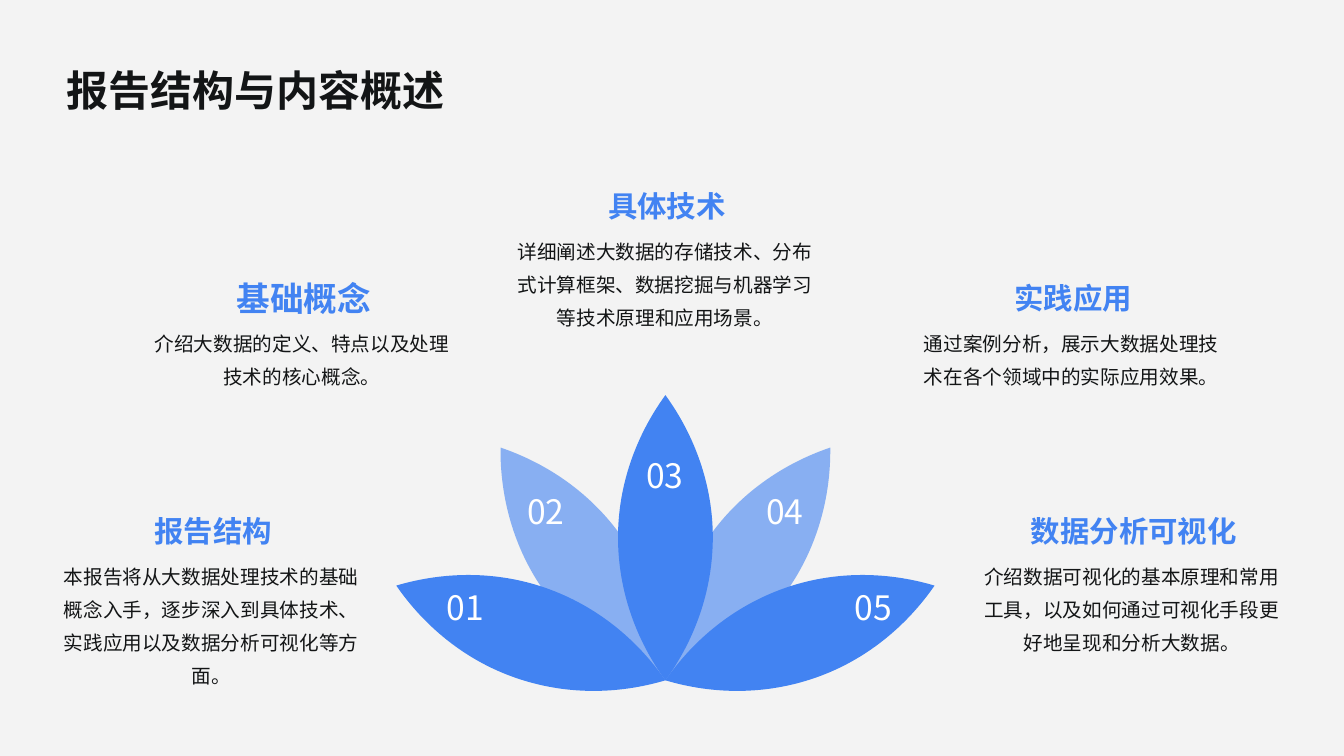
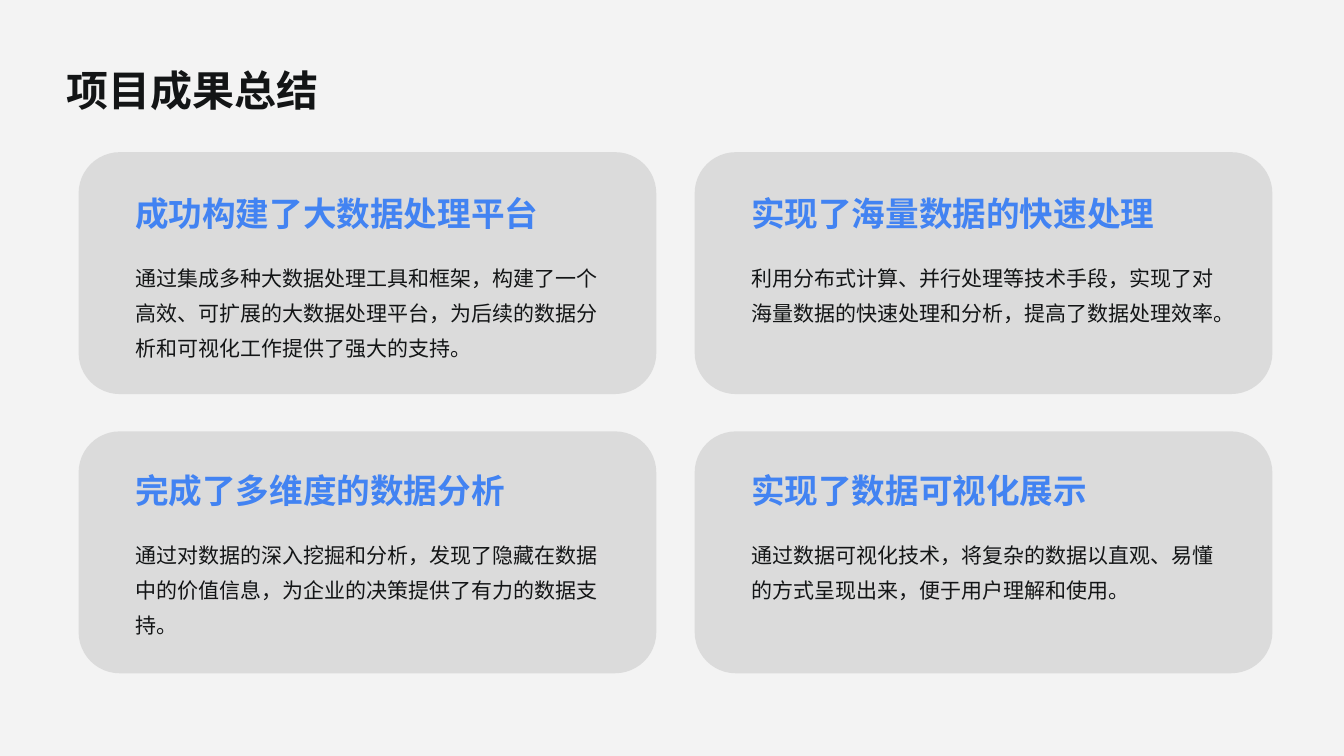
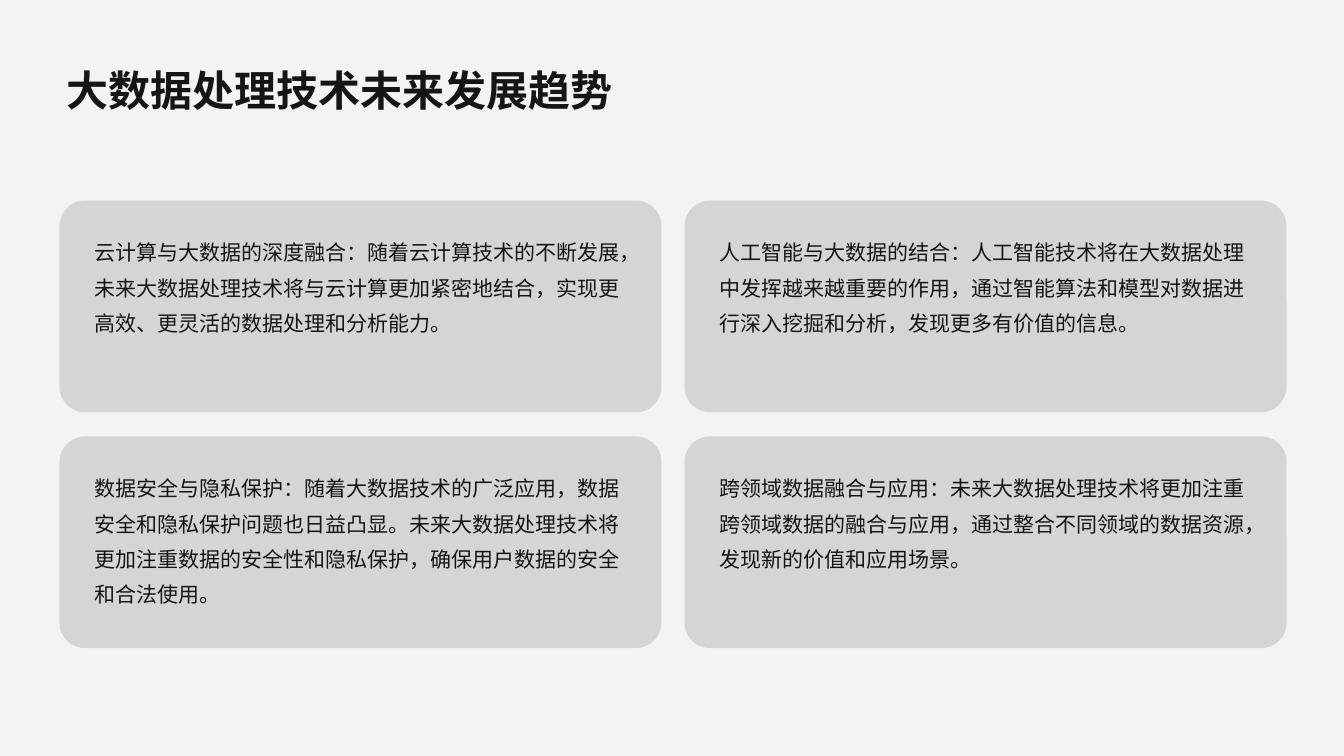
from itertools import product
from math import cos, radians, sin

from lxml.etree import SubElement
from pptx import Presentation
from pptx.dml.color import RGBColor
from pptx.enum.lang import MSO_LANGUAGE_ID as Language
from pptx.enum.shapes import MSO_SHAPE as Preset
from pptx.enum.text import MSO_ANCHOR as Anchor
from pptx.enum.text import MSO_AUTO_SIZE as AutoSize
from pptx.enum.text import PP_ALIGN as Align
from pptx.oxml.ns import qn
from pptx.util import Inches, Pt

FONT = "Noto Sans CJK SC"
BACKGROUND, CARD, BLUE, INK, WHITE = "F3F3F3", "D5D5D5", "4283F2", "131516", "FFFFFF"

# Left, top, right and bottom text insets
SLIM = (0.07, 0.04, 0.07, 0.04)
WIDE = (0.14, 0.14, 0.06, 0.14)
DEFAULT = (0.1, 0.05, 0.1, 0.05)

# Petal outline relative to its base: a start, then three points per curve
PETAL = [
    (-0.47, -1.42),
    (-0.47, -0.89), (-0.29, -0.4), (0, 0),
    (0.29, -0.4), (0.47, -0.89), (0.47, -1.42),
    (0.47, -1.94), (0.29, -2.43), (0, -2.83),
    (-0.29, -2.43), (-0.47, -1.94), (-0.47, -1.42),
]
PETAL_BASE = (6.6, 6.75)
PETAL_STEP = 35.3

# Heading, heading size, body, body left, heading top, number left, number top
TOPICS = [
    ("报告结构", 21, "本报告将从大数据处理技术的基础概念入手，逐步深入到具体技术、实践应用以及数据分析可视化等方面。",
     0.49, 4.96, 4.15, 5.76),
    ("基础概念", 24, "介绍大数据的定义、特点以及处理技术的核心概念。",
     1.39, 2.65, 4.95, 4.81),
    ("具体技术", 21, "详细阐述大数据的存储技术、分布式计算框架、数据挖掘与机器学习等技术原理和应用场景。",
     4.99, 1.74, 6.13, 4.45),
    ("实践应用", 21, "通过案例分析，展示大数据处理技术在各个领域中的实际应用效果。",
     9.02, 2.65, 7.32, 4.81),
    ("数据分析可视化", 21, "介绍数据可视化的基本原理和常用工具，以及如何通过可视化手段更好地呈现和分析大数据。",
     9.62, 4.96, 8.2, 5.76),
]

RESULTS = [
    ("成功构建了大数据处理平台",
     "通过集成多种大数据处理工具和框架，构建了一个高效、可扩展的大数据处理平台，为后续的数据分析和可视化工作提供了强大的支持。"),
    ("实现了海量数据的快速处理",
     "利用分布式计算、并行处理等技术手段，实现了对海量数据的快速处理和分析，提高了数据处理效率。"),
    ("完成了多维度的数据分析",
     "通过对数据的深入挖掘和分析，发现了隐藏在数据中的价值信息，为企业的决策提供了有力的数据支持。"),
    ("实现了数据可视化展示",
     "通过数据可视化技术，将复杂的数据以直观、易懂的方式呈现出来，便于用户理解和使用。"),
]

TRENDS = [
    "云计算与大数据的深度融合：随着云计算技术的不断发展，未来大数据处理技术将与云计算更加紧密地结合，实现更高效、更灵活的数据处理和分析能力。",
    "人工智能与大数据的结合：人工智能技术将在大数据处理中发挥越来越重要的作用，通过智能算法和模型对数据进行深入挖掘和分析，发现更多有价值的信息。",
    "数据安全与隐私保护：随着大数据技术的广泛应用，数据安全和隐私保护问题也日益凸显。未来大数据处理技术将更加注重数据的安全性和隐私保护，确保用户数据的安全和合法使用。",
    "跨领域数据融合与应用：未来大数据处理技术将更加注重跨领域数据的融合与应用，通过整合不同领域的数据资源，发现新的价值和应用场景。",
]


def paint(fill, color, opacity=100):
    fill.solid()
    fill.fore_color.rgb = RGBColor.from_string(color)
    if opacity < 100:
        srgb = next(fill._xPr.iter(qn("a:srgbClr")))
        SubElement(srgb, qn("a:alpha"), val=str(opacity * 1000))


def style_shape(shape, color, opacity):
    shape.shadow.inherit = False
    shape.line.fill.background()
    paint(shape.fill, color, opacity)


def add_text(page, text, left, top, width, height, size, color=INK, bold=False,
             align=Align.LEFT, anchor=Anchor.TOP, insets=SLIM, spacing=1.4):
    box = page.shapes.add_textbox(*map(Inches, (left, top, width, height)))
    frame = box.text_frame
    frame.text = text
    frame.word_wrap = True
    frame.vertical_anchor = anchor
    (frame.margin_left, frame.margin_top,
     frame.margin_right, frame.margin_bottom) = map(Inches, insets)
    para = frame.paragraphs[0]
    para.alignment = align
    para.line_spacing = spacing
    font = para.runs[0].font
    font.size, font.bold, font.name = Pt(size), bold, FONT
    font.language_id = Language.SIMPLIFIED_CHINESE
    paint(font.fill, color)
    SubElement(font._element, qn("a:ea"), typeface=FONT)
    return box


def add_page(deck, title):
    page = deck.slides.add_slide(deck.slide_layouts[6])
    add_text(page, title, 0.52, 0.29, 12.29, 1, 30, bold=True,
             anchor=Anchor.MIDDLE, insets=WIDE)
    return page


def add_card(page, left, top, width, height, opacity=100, rounding=0.17):
    card = page.shapes.add_shape(Preset.ROUNDED_RECTANGLE,
                                 *map(Inches, (left, top, width, height)))
    card.adjustments[0] = rounding
    style_shape(card, CARD, opacity)


def add_petal(page, degrees, opacity):
    """Draw the petal outline turned clockwise about its base."""
    turn = radians(degrees)
    base_x, base_y = PETAL_BASE
    points = [(Inches(base_x + x * cos(turn) - y * sin(turn)),
               Inches(base_y + x * sin(turn) + y * cos(turn))) for x, y in PETAL]
    builder = page.shapes.build_freeform(*points[0])
    builder.add_line_segments(points[1:], close=True)
    petal = builder.convert_to_shape()
    bend_segments(petal)
    style_shape(petal, BLUE, opacity)


def bend_segments(shape):
    """Turn each three straight segments into one Bezier curve."""
    segments = list(shape._element.iter(qn("a:lnTo")))
    for first, second, third in zip(*[iter(segments)] * 3):
        first.tag = qn("a:cubicBezTo")
        for segment in (second, third):
            first.append(segment[0])
            segment.getparent().remove(segment)


def add_number(page, number, left, top):
    box = add_text(page, f"{number:02}", left, top, 0.93, 0.53, 24, WHITE,
                   align=Align.CENTER, anchor=Anchor.MIDDLE, insets=DEFAULT, spacing=1.0)
    box.text_frame.auto_size = AutoSize.SHAPE_TO_FIT_TEXT
    box.text_frame.paragraphs[0].space_before = Pt(3.8)


def build_overview(deck):
    page = add_page(deck, "报告结构与内容概述")
    for step in (2, 1, -2, -1, 0):
        add_petal(page, step * PETAL_STEP, 100 if step % 2 == 0 else 60)
    for number, topic in enumerate(TOPICS, 1):
        heading, size, body, left, top, number_left, number_top = topic
        add_text(page, heading, left + 0.02, top, 3.21, 0.54, size, BLUE, True,
                 Align.CENTER, Anchor.MIDDLE, spacing=1.2)
        add_text(page, body, left, top + 0.51, 3.21, 1.53, 14, align=Align.CENTER)
        add_number(page, number, number_left, number_top)


def build_results(deck):
    page = add_page(deck, "项目成果总结")
    for (heading, body), (row, column) in zip(RESULTS, product(range(2), repeat=2)):
        left, top = 1.2 + column * 6.11, 1.76 + row * 2.75
        add_card(page, left - 0.42, 1.51 + row * 2.77, 5.73, 2.4, opacity=80)
        add_text(page, heading, left, top, 4.7, 0.69, 24, BLUE, True,
                 anchor=Anchor.BOTTOM, insets=WIDE, spacing=1.2)
        add_text(page, body, left, top + 0.63, 4.9, 1.32, 15, insets=WIDE)


def build_trends(deck):
    page = add_page(deck, "大数据处理技术未来发展趋势")
    for trend, (row, column) in zip(TRENDS, product(range(2), repeat=2)):
        left, top = 0.59 + column * 6.2, 1.99 + row * 2.34
        add_card(page, left, top, 5.97, 2.1, rounding=0.12)
        add_text(page, trend, left + 0.28, top + 0.25, 5.41, 1.6, 15)


def main():
    deck = Presentation()
    deck.slide_width, deck.slide_height = Inches(13.33), Inches(7.5)
    paint(deck.slide_master.background.fill, BACKGROUND)
    build_overview(deck)
    build_results(deck)
    build_trends(deck)
    deck.save("out.pptx")


if __name__ == "__main__":
    main()
